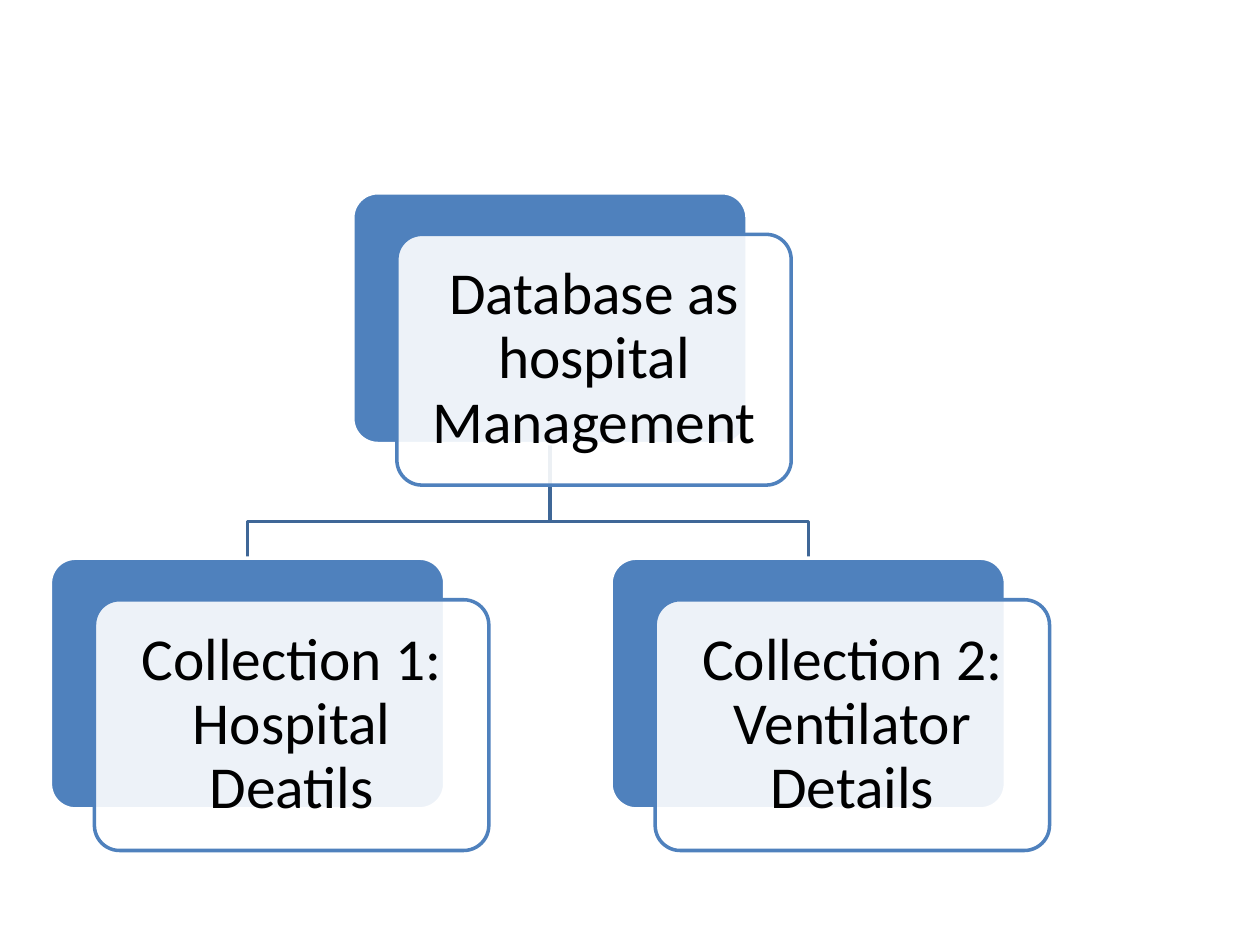
from lxml import etree
from pptx import Presentation
from pptx import util as u
from pptx.dml.color import RGBColor
from pptx.enum import shapes, text
from pptx.oxml.ns import qn

COLORS = {"blue": "4F81BD", "line": "3F6797", "white": "FFFFFF", "black": "000000"}
BOX_WIDTH, BOX_HEIGHT = 3.13, 1.99
SHIFT_X, SHIFT_Y = 0.35, 0.33
ROOT_LEFT, ROOT_TOP = 2.8, 1.53
CHILD_TOP = 4.43
BEND_Y = 4.14
CHILDREN = [
    (0.4, "Collection 1: Hospital Deatils"),
    (4.85, "Collection 2: Ventilator Details"),
]


def color(name):
    return RGBColor.from_string(COLORS[name])


def add_box(slide, left, top, fill, line):
    box = slide.shapes.add_shape(
        shapes.MSO_SHAPE.ROUNDED_RECTANGLE,
        u.Inches(left), u.Inches(top), u.Inches(BOX_WIDTH), u.Inches(BOX_HEIGHT))
    box.adjustments[0] = 0.1
    box.shadow.inherit = False
    box.fill.solid()
    box.fill.fore_color.rgb = color(fill)
    box.line.color.rgb = color(line)
    box.line.width = u.Pt(2)
    return box


presentation = Presentation()
presentation.slide_width, presentation.slide_height = u.Inches(10), u.Inches(7.5)
slide = presentation.slides.add_slide(presentation.slide_layouts[6])

# Branches from the root to each collection
root_x = ROOT_LEFT + BOX_WIDTH / 2
root_bottom = ROOT_TOP + BOX_HEIGHT
for left, _ in reversed(CHILDREN):
    child_x = left + BOX_WIDTH / 2
    corners = [(root_x, root_bottom), (root_x, BEND_Y),
               (child_x, BEND_Y), (child_x, CHILD_TOP)]
    start, *bends = [(u.Inches(x), u.Inches(y)) for x, y in corners]
    builder = slide.shapes.build_freeform(*start)
    builder.add_line_segments(bends, close=False)
    branch = builder.convert_to_shape()
    branch.shadow.inherit = False
    branch.fill.background()
    branch.line.color.rgb = color("line")
    branch.line.width = u.Pt(2)

# Each node is a blue box with a translucent text card in front
nodes = [(ROOT_LEFT, ROOT_TOP, "Database as hospital Management")]
nodes += [(left, CHILD_TOP, label) for left, label in CHILDREN]
for left, top, label in nodes:
    add_box(slide, left, top, "blue", "white")
    card = add_box(slide, left + SHIFT_X, top + SHIFT_Y, "white", "blue")
    fill_color = card.fill._xPr.find(qn("a:solidFill"))[0]
    etree.SubElement(fill_color, qn("a:alpha"), val="90000")

    frame = card.text_frame
    frame.word_wrap = True
    frame.vertical_anchor = text.MSO_ANCHOR.MIDDLE
    frame.margin_left = frame.margin_right = u.Inches(0.14)
    frame.margin_top = frame.margin_bottom = u.Inches(0.14)
    paragraph = frame.paragraphs[0]
    paragraph.alignment = text.PP_ALIGN.CENTER
    paragraph.line_spacing = 0.9
    run = paragraph.add_run()
    run.text = label
    run.font.name = "Calibri"
    run.font.size = u.Pt(34)
    run.font.color.rgb = color("black")

presentation.save("out.pptx")
